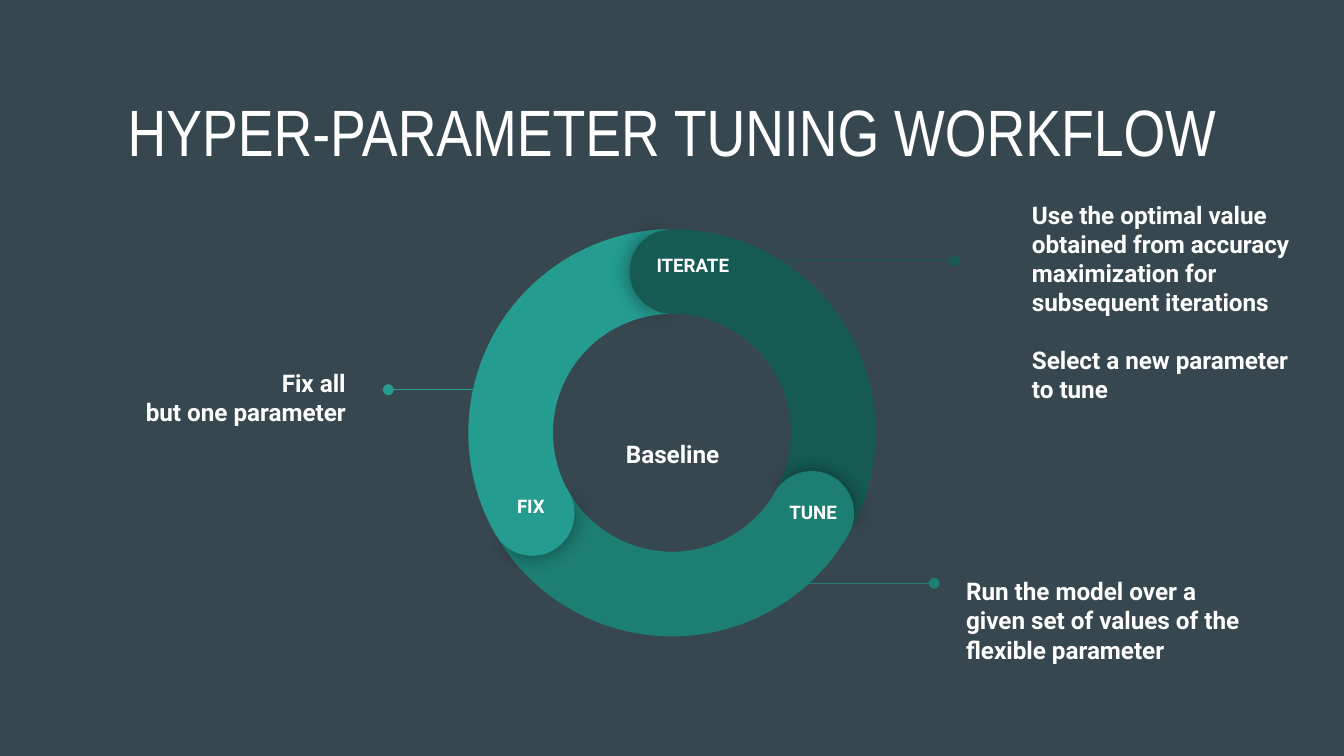
import math

import pptx
import pptx.dml.color
import pptx.enum.shapes
import pptx.enum.text
import pptx.oxml
import pptx.oxml.ns
import pptx.util

RGBColor = pptx.dml.color.RGBColor
Shape = pptx.enum.shapes.MSO_SHAPE
Align = pptx.enum.text.PP_ALIGN
Anchor = pptx.enum.text.MSO_ANCHOR

SLATE = RGBColor(0x37, 0x47, 0x4F)
WHITE = RGBColor(0xFF, 0xFF, 0xFF)
DARK = RGBColor(0x15, 0x5B, 0x54)
MEDIUM = RGBColor(0x1D, 0x7E, 0x74)
LIGHT = RGBColor(0x24, 0x9C, 0x90)

COLUMNS, ROWS = 100, 56.25
CELL = pptx.util.Inches(0.1)
RING_CENTER = (50, 32.2)
RING_SIZE, CAP_SIZE = 30.3, 6.3
ARC_START, ARC_END = 210, 329
ANGLE_UNIT = 0.6

BODY = {"name": "Roboto", "size": pptx.util.Pt(13), "bold": True}
LABEL = {"name": "Roboto", "size": pptx.util.Pt(10), "bold": True}
TITLE = {"name": "Arial Narrow", "size": pptx.util.Pt(35.1), "bold": False}

STEPS = [(60, DARK), (180, MEDIUM), (300, LIGHT)]
LEADERS = [
    ((35.8, 29), (28.9, 29), LIGHT),
    ((57, 19.4), (71, 19.4), DARK),
    ((55.4, 43.4), (69.5, 43.4), MEDIUM),
]
NOTES = [
    ((3.5, 22.5, 23.2, 14.1), ["Fix all", "but one parameter"], {"alignment": Align.RIGHT}),
    (
        (75.8, 15.4, 21.9, 14.1),
        [
            "Use the optimal value obtained from accuracy maximization for subsequent iterations",
            "Select a new parameter to tune",
        ],
        {"alignment": Align.LEFT, "space_after": pptx.util.Pt(15.6)},
    ),
    (
        (70.9, 39.1, 23.2, 14.1),
        ["Run the model over a given set of values of the flexible parameter"],
        {"alignment": Align.LEFT},
    ),
    ((31.3, 26.7, 23.2, 14.1), ["Baseline"], {"alignment": Align.RIGHT}),
]
LABELS = [
    ((47.2, 17.9, 8.7, 2.9), "ITERATE"),
    ((36.7, 35.8, 5.6, 2.9), "FIX"),
    ((57.7, 36.3, 5.6, 2.9), "TUNE"),
]


def grid(*cells):
    return [round(cell * CELL) for cell in cells]


def apply_format(target, values):
    for name, value in values.items():
        setattr(target, name, value)


def write_text(box, lines, font, para_format, anchor):
    frame = box.text_frame
    margins = {f"margin_{side}": CELL for side in ("left", "top", "right", "bottom")}
    apply_format(frame, {"word_wrap": True, "vertical_anchor": anchor, **margins})
    frame.auto_size = pptx.enum.text.MSO_AUTO_SIZE.NONE
    for index, line in enumerate(lines):
        para = frame.add_paragraph() if index else frame.paragraphs[0]
        apply_format(para, para_format)
        if index == len(lines) - 1:
            para.space_after = pptx.util.Pt(0)
        span = para.add_run()
        span.text = line
        apply_format(span.font, font)
        span.font.color.rgb = WHITE


def add_text(slide, place, lines, font, para_format, anchor):
    box = slide.shapes.add_textbox(*grid(*place))
    write_text(box, lines, font, para_format, anchor)


def set_title(slide):
    title = slide.shapes.title
    sides = ("left", "top", "width", "height")
    apply_format(title, dict(zip(sides, grid(3.4, 4.9, 93.2, 6.3))))
    para_format = {"alignment": Align.CENTER, "line_spacing": 1.15}
    write_text(title, ["HYPER-PARAMETER TUNING WORKFLOW"], TITLE, para_format, Anchor.TOP)


def add_leader(slide, start, end, color):
    leader = slide.shapes.add_connector(
        pptx.enum.shapes.MSO_CONNECTOR.STRAIGHT, *grid(*start, *end)
    )
    leader.line.color.rgb = color
    leader.line.width = pptx.util.Pt(0.75)
    line = leader.line._get_or_add_ln()
    line.append(pptx.oxml.parse_xml(f'<a:tailEnd {pptx.oxml.ns.nsdecls("a")} type="oval"/>'))
    leader._element.spPr.append(
        pptx.oxml.parse_xml(f'<a:effectLst {pptx.oxml.ns.nsdecls("a")}/>')
    )


def add_round(slide, kind, center, size, rotation, adjustments, color):
    left, top = (middle - size / 2 for middle in center)
    shape = slide.shapes.add_shape(kind, *grid(left, top, size, size))
    for index, value in enumerate(adjustments):
        shape.adjustments[index] = value
    shape.rotation = rotation
    shape.fill.solid()
    shape.fill.fore_color.rgb = color
    shape.line.fill.background()
    shape.shadow.inherit = False
    return shape


def add_glow(shape):
    effects = shape._element.spPr.find(pptx.oxml.ns.qn("a:effectLst"))
    effects.append(
        pptx.oxml.parse_xml(
            f'<a:outerShdw {pptx.oxml.ns.nsdecls("a")} blurRad="{pptx.util.Pt(11.2)}"'
            ' dist="0" dir="0" algn="ctr" rotWithShape="0"><a:srgbClr val="000000">'
            '<a:alpha val="43000"/></a:srgbClr></a:outerShdw>'
        )
    )


def add_arc(slide, rotation, color):
    adjustments = (ARC_START * ANGLE_UNIT, ARC_END * ANGLE_UNIT, CAP_SIZE / RING_SIZE)
    add_round(slide, Shape.BLOCK_ARC, RING_CENTER, RING_SIZE, rotation, adjustments, color)


def add_cap(slide, rotation, color):
    angle = math.radians(rotation + ARC_START)
    radius = (RING_SIZE - CAP_SIZE) / 2
    center = (
        RING_CENTER[0] + radius * math.cos(angle),
        RING_CENTER[1] + radius * math.sin(angle),
    )
    halves = [(rotation - 59.3, (103.2, 249.9)), (rotation + 120, (67.1, 286.4))]
    for index, (turn, angles) in enumerate(halves):
        adjustments = [value * ANGLE_UNIT for value in angles]
        half = add_round(
            slide, Shape.PIE, center, CAP_SIZE, turn % 360, adjustments, color
        )
        if index == 0:
            add_glow(half)


def main():
    deck = pptx.Presentation()
    deck.slide_width, deck.slide_height = grid(COLUMNS, ROWS)
    slide = deck.slides.add_slide(deck.slide_layouts[5])
    slide.background.fill.solid()
    slide.background.fill.fore_color.rgb = SLATE
    set_title(slide)
    for leader in LEADERS:
        add_leader(slide, *leader)
    for step in STEPS:
        add_arc(slide, *step)
    for step in STEPS:
        add_cap(slide, *step)
    for place, label in LABELS:
        add_text(slide, place, [label], LABEL, {"alignment": Align.CENTER}, Anchor.TOP)
    for place, lines, para_format in NOTES:
        add_text(slide, place, lines, BODY, para_format, Anchor.MIDDLE)
    deck.save("out.pptx")


if __name__ == "__main__":
    main()
